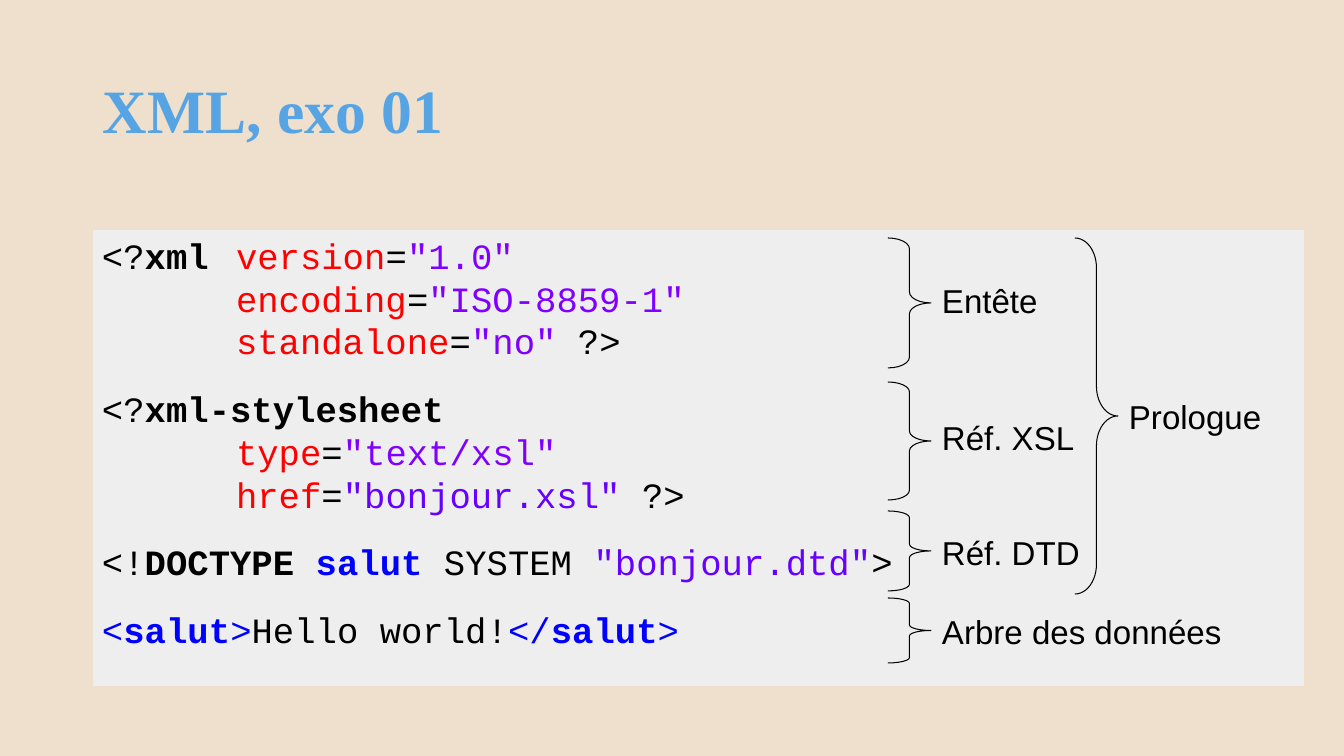
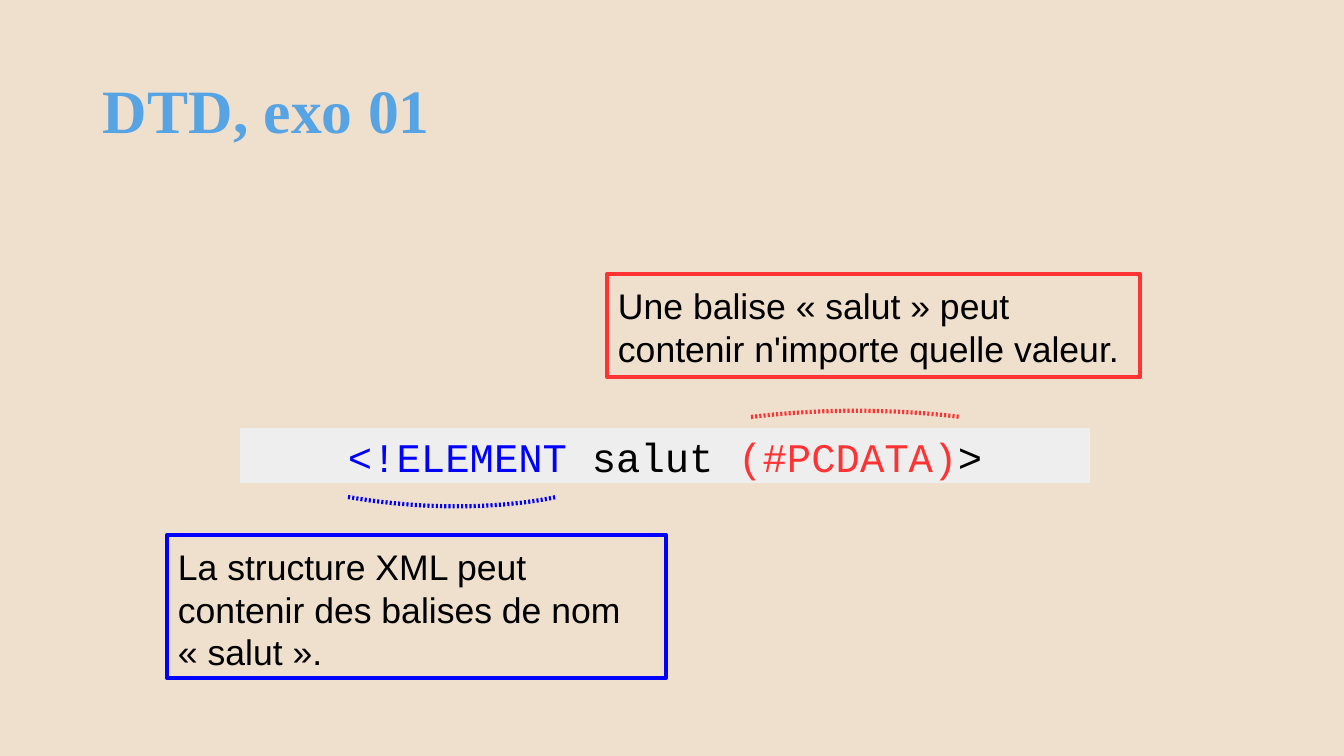
from lxml import etree
from pptx import Presentation, util as u
from pptx.dml.color import RGBColor
from pptx.enum import shapes, text
from pptx.oxml import ns

# Theme
PX = 914400 / 100.8
THEME = {
    "paper": "EFDFCD", "panel": "EEEEEE", "title": "56A4E4",
    "black": "000000", "red": "FF0000", "violet": "8000FF",
    "indigo": "6600FF", "blue": "0000FF", "coral": "FF3333",
    "sans": "Arial", "mono": "Courier New", "serif": "Times New Roman",
    "title_size": 44, "code_size": 25.4, "label_size": 23.6,
    "element_size": 29, "note_size": 25.4, "rule": 3,
}
CODE_INSETS = (9, 4, 9, 4)
NOTE_INSETS = (11, 10, 11, 10)

# Content of slide 1: paragraphs of (text, colour, bold)
XML_TITLE = "XML, exo 01"
XML_PANEL = (93, 230, 1211, 456)
XML_CODE = [
    [("<?", "black"), ("xml\t", "black", True),
     ("version", "red"), ("=", "black"), ('"1.0"\n\t', "violet"),
     ("encoding", "red"), ("=", "black"), ('"ISO-8859-1"\n\t', "violet"),
     ("standalone", "red"), ("=", "black"), ('"no"', "violet"),
     (" ?>", "black")],
    [("<?", "black"), ("xml-stylesheet\n\t", "black", True),
     ("type", "red"), ("=", "black"), ('"text/xsl"\n\t', "violet"),
     ("href", "red"), ("=", "black"), ('"bonjour.xsl"', "indigo"),
     (" ?>", "black")],
    [("<!", "black"), ("DOCTYPE ", "black", True), ("salut", "blue", True),
     (" SYSTEM ", "black"), ('"bonjour.dtd"', "indigo"), (">", "black")],
    [("<", "blue"), ("salut", "blue", True), (">", "blue"),
     ("Hello world!", "black"),
     ("</", "blue"), ("salut", "blue", True), (">", "blue")],
]
CODE_TAB = 134
BRACE_WIDTH, LABEL_HEIGHT = 43, 58
# label, brace left, brace top, brace height, label top, label width
BRACES = [
    ("Entête", 888, 238, 130, 270, 140),
    ("Réf. XSL", 888, 382, 118, 407, 170),
    ("Réf. DTD", 888, 511, 80, 522, 170),
    ("Arbre des données", 888, 598, 65, 601, 320),
    ("Prologue", 1075, 238, 356, 386, 170),
]

# Content of slide 2
DTD_TITLE = "DTD, exo 01"
ELEMENT_PANEL = (240, 428, 850, 55)
ELEMENT_CODE = [[("<!ELEMENT", "blue"), (" salut ", "black"),
                 ("(#PCDATA)", "coral"), (">", "black")]]
NOTES = [
    ("La structure XML peut contenir des balises de nom «\u00a0salut\u00a0».",
     "blue", (167, 535, 499, 143)),
    ("Une balise «\u00a0salut\u00a0» peut contenir n'importe quelle valeur.",
     "coral", (607, 274, 533, 103)),
]
# colour, start, control point, end
CURVES = [
    ("blue", (348, 497), (471, 518), (556, 497)),
    ("coral", (751, 417), (866, 403), (960, 417)),
]
CURVE_STEPS = 32


def px(value):
    return u.Emu(round(value * PX))


def color(name):
    return RGBColor.from_string(THEME[name])


def style_shape(shape, fill=None, line=None, width=0):
    shape.shadow.inherit = False
    if fill:
        shape.fill.solid()
        shape.fill.fore_color.rgb = color(fill)
    else:
        shape.fill.background()
    if line:
        shape.line.color.rgb = color(line)
        shape.line.width = u.Pt(width)
    else:
        shape.line.fill.background()


def add_box(slide, box, fill=None, line=None):
    shape = slide.shapes.add_shape(
        shapes.MSO_SHAPE.RECTANGLE, *[px(value) for value in box])
    style_shape(shape, fill, line, THEME["rule"])
    return shape


def add_label(slide, box):
    return slide.shapes.add_textbox(*[px(value) for value in box])


def write(shape, paragraphs, font, size, insets=NOTE_INSETS,
          anchor=text.MSO_ANCHOR.TOP, wrap=True, **formats):
    """Fill a shape with paragraphs made of (text, colour, bold) parts."""
    frame = shape.text_frame
    frame.word_wrap, frame.vertical_anchor = wrap, anchor
    for side, inset in zip(("left", "top", "right", "bottom"), insets):
        setattr(frame, f"margin_{side}", px(inset))
    formats = {"alignment": text.PP_ALIGN.LEFT, **formats}
    for index, parts in enumerate(paragraphs):
        paragraph = frame.add_paragraph() if index else frame.paragraphs[0]
        for name, value in formats.items():
            setattr(paragraph, name, value)
        for words, tint, *bold in parts:
            for number, line in enumerate(words.split("\n")):
                if number:
                    paragraph.add_line_break()
                run = paragraph.add_run()
                run.text = line
                values = {"name": THEME[font], "size": u.Pt(THEME[size]),
                          "bold": bool(bold)}
                for name, value in values.items():
                    setattr(run.font, name, value)
                run.font.color.rgb = color(tint)


def set_tab(shape, position):
    for paragraph in shape.text_frame.paragraphs:
        properties = paragraph._p.get_or_add_pPr()
        tabs = etree.SubElement(properties, ns.qn("a:tabLst"))
        etree.SubElement(tabs, ns.qn("a:tab"), pos=str(px(position)), algn="l")


def add_brace(slide, left, top, height):
    brace = slide.shapes.add_shape(
        shapes.MSO_SHAPE.RIGHT_BRACE,
        px(left), px(top), px(BRACE_WIDTH), px(height))
    # Bends take a twelfth of the height
    brace.adjustments[0] = height / 12 / min(BRACE_WIDTH, height)
    style_shape(brace, line="black")


def add_curve(slide, tint, start, control, end):
    """Draw a dotted cubic curve whose second control point is its end."""
    points = []
    for step in range(CURVE_STEPS + 1):
        t = step / CURVE_STEPS
        weights = ((1 - t) ** 3, 3 * t * (1 - t) ** 2, 3 * t * t - 2 * t ** 3)
        points.append([px(sum(w * v for w, v in zip(weights, axis)))
                       for axis in zip(start, control, end)])
    builder = slide.shapes.build_freeform(*points[0])
    builder.add_line_segments(points[1:], close=False)
    curve = builder.convert_to_shape()
    style_shape(curve, line=tint, width=THEME["rule"])
    dashes = etree.SubElement(curve.line._get_or_add_ln(), ns.qn("a:custDash"))
    etree.SubElement(dashes, ns.qn("a:ds"), d="50000", sp="50000")


def add_slide(presentation, title):
    slide = presentation.slides.add_slide(presentation.slide_layouts[6])
    write(add_label(slide, (93, 75, 1159, 78)), [[(title, "title", True)]],
          "serif", "title_size", insets=(10, 5, 10, 5),
          anchor=text.MSO_ANCHOR.MIDDLE, line_spacing=0.9)
    return slide


def build_xml_slide(presentation):
    slide = add_slide(presentation, XML_TITLE)
    panel = add_box(slide, XML_PANEL, fill="panel")
    write(panel, XML_CODE, "mono", "code_size", CODE_INSETS,
          space_after=u.Pt(18))
    set_tab(panel, CODE_TAB)
    for words, left, top, height, label_top, label_width in BRACES:
        add_brace(slide, left, top, height)
        label = add_label(slide, (left + BRACE_WIDTH, label_top,
                                  label_width, LABEL_HEIGHT))
        write(label, [[(words, "black")]], "sans", "label_size")


def build_dtd_slide(presentation):
    slide = add_slide(presentation, DTD_TITLE)
    write(add_box(slide, ELEMENT_PANEL, fill="panel"), ELEMENT_CODE,
          "mono", "element_size", CODE_INSETS, wrap=False,
          alignment=text.PP_ALIGN.CENTER)
    for words, tint, box in NOTES:
        write(add_box(slide, box, line=tint), [[(words, "black")]],
              "sans", "note_size")
    for curve in CURVES:
        add_curve(slide, *curve)


def main():
    presentation = Presentation()
    presentation.slide_width, presentation.slide_height = px(1344), px(756)
    background = presentation.slide_master.background.fill
    background.solid()
    background.fore_color.rgb = color("paper")
    build_xml_slide(presentation)
    build_dtd_slide(presentation)
    presentation.save("out.pptx")


if __name__ == "__main__":
    main()
